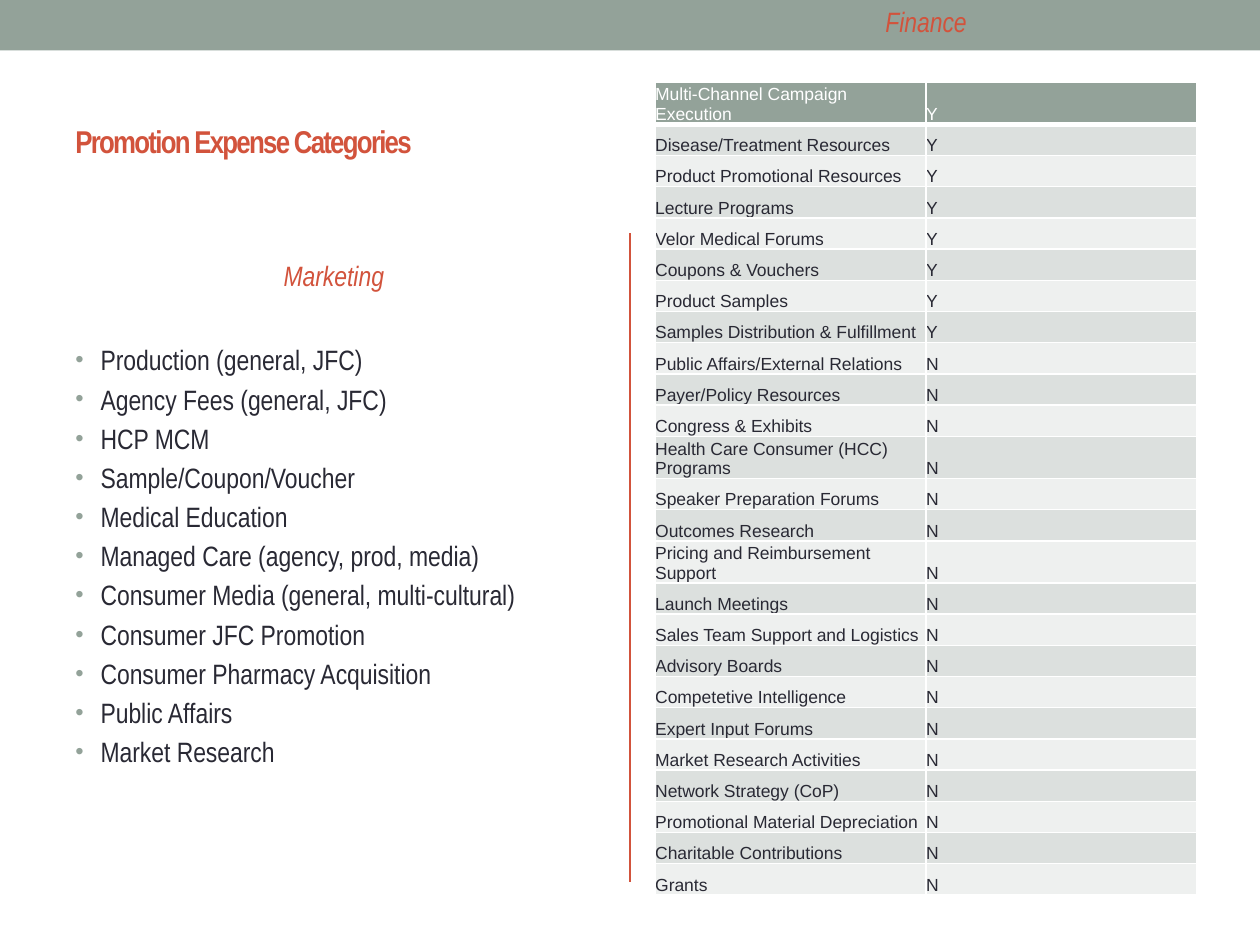
from dataclasses import dataclass
from typing import Any, NamedTuple

import lxml.etree
import pptx
import pptx.dml.color
import pptx.enum.shapes
import pptx.enum.text
import pptx.oxml.ns
import pptx.util

SCALE = 914400 / 250  # EMU per px, 250 px to the inch
ANCHOR = pptx.enum.text.MSO_ANCHOR
ALIGN = pptx.enum.text.PP_ALIGN


@dataclass(frozen=True)
class Theme:
    sage: str = "93A299"
    rust: str = "D2533C"
    ink: str = "292934"
    white: str = "FFFFFF"
    bands: tuple[str, str] = ("DCE0DE", "EEF0EF")
    narrow: str = "Arial Narrow"
    plain: str = "Arial"
    title: int = 18
    body: int = 16
    cell: int = 10


class Box(NamedTuple):
    x: int
    y: int
    w: int
    h: int


class Head(NamedTuple):
    text: str
    box: Box


THEME = Theme()
TITLE = Head("Promotion Expense Categories", Box(125, 145, 2250, 270))
HEADS = [
    Head("Marketing", Box(125, 458, 1075, 175)),
    Head("Finance", Box(1300, -45, 1075, 175)),
]
LIST = Box(125, 668, 1075, 1080)
GRID = Box(1300, 163, 1075, 1550)
ITEMS = [
    "Production (general, JFC)",
    "Agency Fees (general, JFC)",
    "HCP MCM",
    "Sample/Coupon/Voucher",
    "Medical Education",
    "Managed Care (agency, prod, media)",
    "Consumer Media (general, multi-cultural)",
    "Consumer JFC Promotion",
    "Consumer Pharmacy Acquisition",
    "Public Affairs",
    "Market Research",
]
FUNDED = [
    "Multi-Channel Campaign Execution",
    "Disease/Treatment Resources",
    "Product Promotional Resources",
    "Lecture Programs",
    "Velor Medical Forums",
    "Coupons & Vouchers",
    "Product Samples",
    "Samples Distribution & Fulfillment",
]
OTHER = [
    "Public Affairs/External Relations",
    "Payer/Policy Resources",
    "Congress & Exhibits",
    "Health Care Consumer (HCC) Programs",
    "Speaker Preparation Forums",
    "Outcomes Research",
    "Pricing and Reimbursement Support",
    "Launch Meetings",
    "Sales Team Support and Logistics",
    "Advisory Boards",
    "Competetive Intelligence",
    "Expert Input Forums",
    "Market Research Activities",
    "Network Strategy (CoP)",
    "Promotional Material Depreciation",
    "Charitable Contributions",
    "Grants",
]
ROWS = [(name, "Y") for name in FUNDED] + [(name, "N") for name in OTHER]


def px(n: float) -> int:
    return round(n * SCALE)


def rgb(code: str) -> pptx.dml.color.RGBColor:
    return pptx.dml.color.RGBColor.from_string(code)


def add(node: Any, tag: str, **attrs: Any) -> Any:
    """Append a DrawingML child to an XML node."""
    values = {key: str(value) for key, value in attrs.items()}
    return lxml.etree.SubElement(node, pptx.oxml.ns.qn(f"a:{tag}"), values)


def write(frame: Any, *lines: str, size: int, color: str, font: str = THEME.narrow,
          bold: bool = False, italic: bool = False, align: Any = ALIGN.LEFT,
          track: int = 0, lead: int = 0, bullet: str = "") -> None:
    """Fill a text frame; track is in 1/100 pt, lead is percent before a line."""
    for i, line in enumerate(lines):
        para = frame.paragraphs[0] if i == 0 else frame.add_paragraph()
        para.alignment = align
        props = para._p.get_or_add_pPr()
        if lead:
            add(add(props, "spcBef"), "spcPct", val=lead * 1000)
        if bullet:
            props.set("marL", str(px(50)))
            props.set("indent", str(px(-50)))
            add(add(props, "buClr"), "srgbClr", val=THEME.sage)
            add(props, "buSzPct", val=85000)
            add(props, "buFont", typeface=THEME.plain)
            add(props, "buChar", char=bullet)
        run = para.add_run()
        run.text = line
        run.font.size = pptx.util.Pt(size)
        run.font.name = font
        run.font.bold = bold
        run.font.italic = italic
        run.font.color.rgb = rgb(color)
        if track:
            run._r.get_or_add_rPr().set("spc", str(track))


def frame(slide: Any, box: Box, anchor: Any = ANCHOR.MIDDLE) -> Any:
    text = slide.shapes.add_textbox(*map(px, box)).text_frame
    text.word_wrap = True
    text.vertical_anchor = anchor
    return text


def edge(cell: Any, top: int, base: int) -> None:
    """Draw white cell borders; top and base widths are in points."""
    props = cell._tc.get_or_add_tcPr()
    for side, width in zip("LRTB", (1, 1, top, base)):
        line = add(props, f"ln{side}", w=pptx.util.Pt(width))
        add(add(line, "solidFill"), "srgbClr", val=THEME.white)


def table(slide: Any, box: Box, rows: list[tuple[str, str]]) -> None:
    grid = slide.shapes.add_table(len(rows), 2, *map(px, box)).table
    grid.horz_banding = False
    for r, row in enumerate(rows):
        grid.rows[r].height = px(box.h / len(rows))
        for c, text in enumerate(row):
            cell = grid.cell(r, c)
            cell.margin_left = cell.margin_right = 0
            cell.margin_top = cell.margin_bottom = 0
            cell.vertical_anchor = ANCHOR.BOTTOM
            edge(cell, top=3 if r == 1 else 1, base=3 if r == 0 else 1)
            cell.fill.solid()
            cell.fill.fore_color.rgb = rgb(THEME.bands[(r - 1) % 2] if r else THEME.sage)
            write(cell.text_frame, text, size=THEME.cell, font=THEME.plain,
                  color=THEME.ink if r else THEME.white)


def band(slide: Any, box: Box) -> None:
    shape = slide.shapes.add_shape(pptx.enum.shapes.MSO_SHAPE.RECTANGLE, *map(px, box))
    shape.shadow.inherit = False
    shape.fill.solid()
    shape.fill.fore_color.rgb = rgb(THEME.sage)
    shape.line.fill.background()


def rule(slide: Any, x: int, top: int, base: int) -> None:
    line = slide.shapes.add_connector(
        pptx.enum.shapes.MSO_CONNECTOR.STRAIGHT, px(x), px(top), px(x), px(base))
    line.line.color.rgb = rgb(THEME.rust)
    line.line.width = pptx.util.Pt(1.5)
    add(line._element.spPr, "effectLst")


def main() -> None:
    deck = pptx.Presentation()
    deck.slide_width, deck.slide_height = px(2500), px(1875)
    slide = deck.slides.add_slide(deck.slide_layouts[6])
    band(slide, Box(0, 0, 2500, 100))
    rule(slide, 1250, 463, 1750)
    write(frame(slide, TITLE.box), TITLE.text, size=THEME.title,
          color=THEME.rust, bold=True, track=-100)
    for head in HEADS:
        write(frame(slide, head.box), head.text, size=THEME.body, color=THEME.rust,
              italic=True, align=ALIGN.CENTER, lead=20)
    write(frame(slide, LIST, ANCHOR.TOP), *ITEMS, size=THEME.body,
          color=THEME.ink, lead=20, bullet="•")
    table(slide, GRID, ROWS)
    deck.save("out.pptx")


if __name__ == "__main__":
    main()
